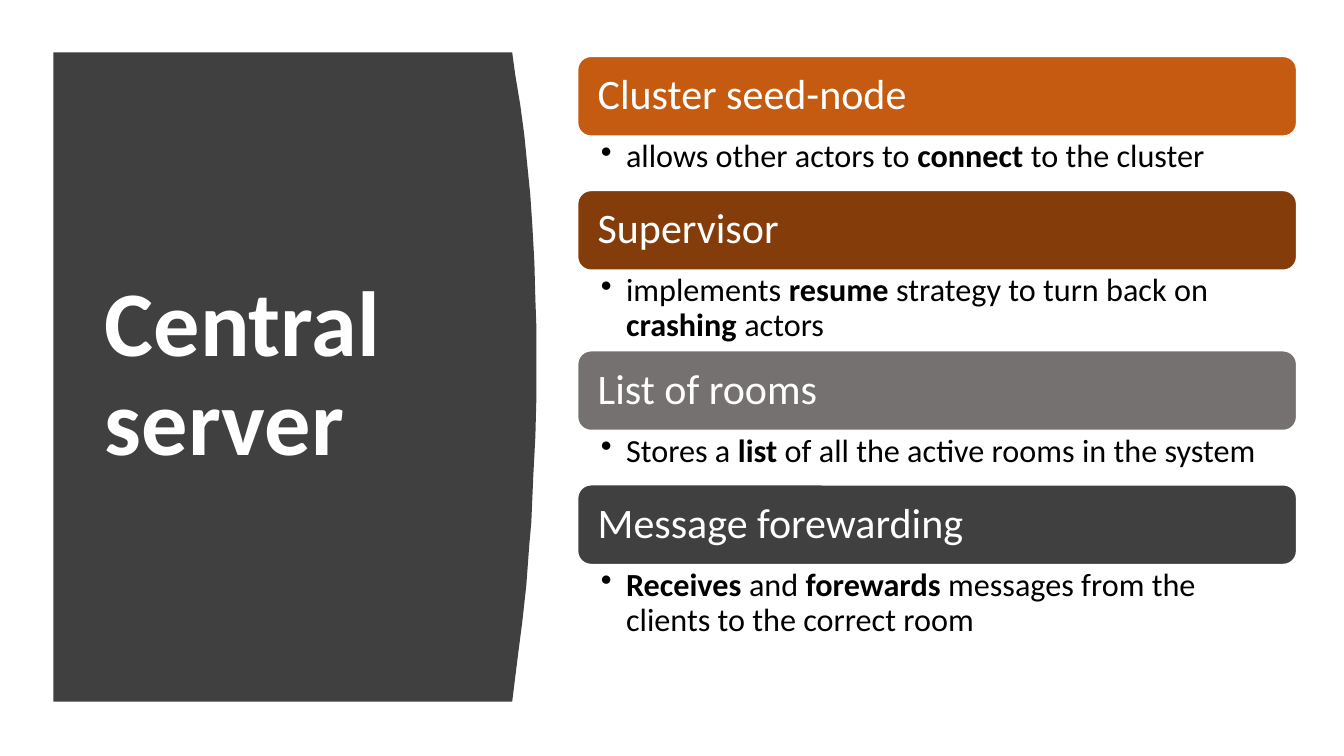
import pptx
import pptx.util
import pptx.dml.color
import pptx.enum.shapes
import pptx.enum.text
import pptx.oxml.ns
from lxml import etree

Inches = pptx.util.Inches
FONT = "Calibri"
COLORS = {"white": "FFFFFF", "black": "000000", "charcoal": "404040",
          "orange": "C55A11", "brown": "843C0B", "gray": "767171"}

TITLE = "Central server"
# Heading, color, lines of detail text, detail runs as (text, bold)
SECTIONS = [
    ("Cluster seed-node", "orange", 1,
     [("allows other actors to ", False), ("connect", True), (" to the cluster", False)]),
    ("Supervisor", "brown", 2,
     [("implements ", False), ("resume", True), (" strategy to turn back on ", False),
      ("crashing ", True), ("actors", False)]),
    ("List of rooms", "gray", 1,
     [("Stores a ", False), ("list", True),
      (" of all the active rooms in the system", False)]),
    ("Message forewarding", "charcoal", 2,
     [("Receives", True), (" and ", False), ("forewards ", True),
      ("messages from the clients to the correct room", False)]),
]

PANEL_LEFT, PANEL_TOP, PANEL_BOTTOM = 0.53, 0.52, 6.96
PANEL_EDGE = [(5.08, 0.52), (5.11, 0.74), (5.16, 1.04), (5.2, 1.34), (5.23, 1.64),
              (5.26, 1.94), (5.28, 2.24), (5.3, 2.6), (5.31, 2.97), (5.32, 3.25),
              (5.32, 3.94), (5.31, 4.33), (5.29, 4.71), (5.27, 5.18), (5.25, 5.4),
              (5.22, 5.81), (5.18, 6.17), (5.14, 6.48), (5.11, 6.72), (5.08, 6.96)]

LIST_LEFT, LIST_TOP, LIST_WIDTH = 5.73, 0.56, 7.13
HEADING_HEIGHT = 0.79
DETAIL_HEIGHTS = {1: 0.54, 2: 0.8}


def rgb(name):
    """Return the named color."""
    return pptx.dml.color.RGBColor.from_string(COLORS[name])


def place(shape, left, top, width, height):
    """Position a shape, in inches."""
    shape.left, shape.top = Inches(left), Inches(top)
    shape.width, shape.height = Inches(width), Inches(height)


def write(shape, runs, size, color, anchor, inset=(0.1, 0.05)):
    """Fill a shape with one left-aligned paragraph and return it."""
    frame = shape.text_frame
    frame.word_wrap = True
    frame.auto_size = pptx.enum.text.MSO_AUTO_SIZE.NONE
    frame.vertical_anchor = anchor
    frame.margin_left = frame.margin_right = Inches(inset[0])
    frame.margin_top = frame.margin_bottom = Inches(inset[1])
    paragraph = frame.paragraphs[0]
    paragraph.alignment = pptx.enum.text.PP_ALIGN.LEFT
    paragraph.line_spacing = 0.9
    for text, bold in runs:
        run = paragraph.add_run()
        run.text = text
        run.font.name = FONT
        run.font.size = pptx.util.Pt(size)
        run.font.bold = bold
        run.font.color.rgb = rgb(color)
    return paragraph


def paint(shape, color):
    """Give a shape a flat fill without shadow."""
    shape.shadow.inherit = False
    shape.fill.solid()
    shape.fill.fore_color.rgb = rgb(color)


def add_bullet(paragraph):
    """Give a paragraph a hanging round bullet."""
    properties = paragraph._p.get_or_add_pPr()
    properties.set("marL", str(Inches(0.25)))
    properties.set("indent", str(-Inches(0.25)))
    bullet = etree.SubElement(properties, pptx.oxml.ns.qn("a:buChar"))
    bullet.set("char", "•")


def add_panel(slide):
    """Draw the dark panel with its curved right edge."""
    outline = [(Inches(x), Inches(y))
               for x, y in PANEL_EDGE + [(PANEL_LEFT, PANEL_BOTTOM)]]
    builder = slide.shapes.build_freeform(Inches(PANEL_LEFT), Inches(PANEL_TOP))
    builder.add_line_segments(outline, close=True)
    panel = builder.convert_to_shape()
    paint(panel, "charcoal")
    panel.line.fill.background()
    return panel


def add_section(slide, top, heading, color, lines, details):
    """Add a heading bar with its bullet below; return the next top."""
    bar = slide.shapes.add_shape(pptx.enum.shapes.MSO_SHAPE.ROUNDED_RECTANGLE,
                                 0, 0, 0, 0)
    place(bar, LIST_LEFT, top, LIST_WIDTH, HEADING_HEIGHT)
    paint(bar, color)
    bar.line.color.rgb = rgb("white")
    bar.line.width = pptx.util.Pt(1)
    write(bar, [(heading, False)], 30, "white",
          pptx.enum.text.MSO_ANCHOR.MIDDLE, (0.16, 0.12))

    top += HEADING_HEIGHT
    height = DETAIL_HEIGHTS[lines]
    detail = slide.shapes.add_textbox(0, 0, 0, 0)
    place(detail, LIST_LEFT, top, LIST_WIDTH, height)
    add_bullet(write(detail, details, 23, "black",
                     pptx.enum.text.MSO_ANCHOR.TOP, (0.23, 0.04)))
    return top + height


presentation = pptx.Presentation()
presentation.slide_width, presentation.slide_height = Inches(13.33), Inches(7.5)
slide = presentation.slides.add_slide(presentation.slide_layouts[5])

panel = add_panel(slide)
title = slide.shapes.title
panel._element.addnext(title._element)
place(title, 0.94, 1.11, 3.74, 5.24)
write(title, [(TITLE, True)], 66, "white", pptx.enum.text.MSO_ANCHOR.MIDDLE)

section_top = LIST_TOP
for section in SECTIONS:
    section_top = add_section(slide, section_top, *section)

presentation.save("out.pptx")
